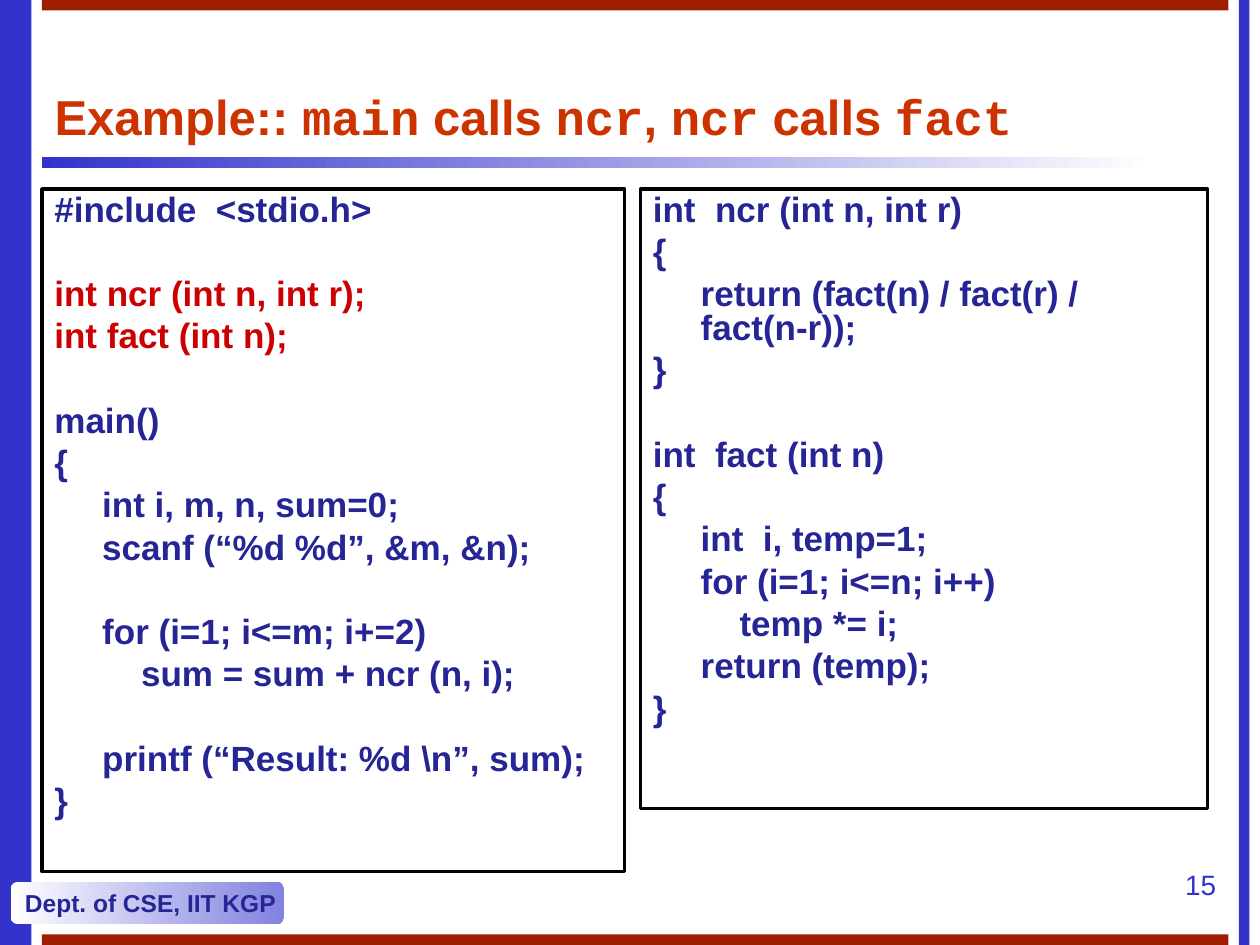
from dataclasses import dataclass

from pptx import Presentation
from pptx.dml.color import RGBColor
from pptx.enum.shapes import MSO_SHAPE as Preset
from pptx.enum.text import MSO_ANCHOR as Anchor, MSO_AUTO_SIZE as AutoSize, PP_ALIGN as Align
from pptx.util import Inches, Pt


@dataclass(frozen=True)
class Theme:
    """Colours, fonts, sizes and spacing of the deck."""
    blue: str = "3333CC"
    pale_blue: str = "8282E0"
    navy: str = "252595"
    brick: str = "A01E00"
    orange: str = "CC3300"
    red: str = "CC0000"
    black: str = "000000"
    white: str = "FFFFFF"
    sans: str = "Arial"
    mono: str = "Courier New"
    title_size: int = 28
    code_size: int = 20
    number_size: int = 16
    badge_size: int = 14
    code_leading: float = 0.8
    line_gap: int = 5
    section_gap: int = 29


THEME = Theme()
COLUMNS, ROWS = 120, 90
CELL = Inches(10) // COLUMNS

TITLE = [("Example:: ", False), ("main", True), (" calls ", False), ("ncr", True),
         (", ", False), ("ncr", True), (" calls ", False), ("fact", True)]

MAIN_CODE = [
    ["#include  <stdio.h>"],
    ["int ncr (int n, int r);", "int fact (int n);"],
    ["main()", "{", "\tint i, m, n, sum=0;", "\tscanf (“%d %d”, &m, &n);"],
    ["\tfor (i=1; i<=m; i+=2)", "\t    sum = sum + ncr (n, i);"],
    ["\tprintf (“Result: %d \\n”, sum);", "}"],
]
PROTOTYPES = MAIN_CODE[1]

FUNCTION_CODE = [
    ["int  ncr (int n, int r)", "{", "\treturn (fact(n) / fact(r) / fact(n-r));", "}"],
    ["int  fact (int n)", "{", "\tint  i, temp=1;", "\tfor (i=1; i<=n; i++)",
     "\t    temp *= i;", "\treturn (temp);", "}"],
]


def place(box):
    """Turn a grid box of column, row, width and height into lengths."""
    return [int(cells * CELL) for cells in box]


def style(paragraph, size, color, bold=True, align=Align.LEFT):
    """Set the alignment and font of a whole paragraph."""
    paragraph.alignment = align
    font = paragraph.font
    font.name, font.size, font.bold = THEME.sans, Pt(size), bold
    font.color.rgb = RGBColor.from_string(color)


def add_block(slide, box, colors, preset=Preset.RECTANGLE):
    """Add a borderless shape with one colour or a left-to-right blend of two."""
    block = slide.shapes.add_shape(preset, *place(box))
    block.shadow.inherit = False
    block.line.fill.background()
    if len(colors) == 1:
        block.fill.solid()
        block.fill.fore_color.rgb = RGBColor.from_string(colors[0])
    else:
        block.fill.gradient()
        block.fill.gradient_angle = 0
        for stop, color in zip(block.fill.gradient_stops, colors):
            stop.color.rgb = RGBColor.from_string(color)
    return block


def add_frame(slide):
    """Draw the side bands, the top and bottom bands and the title rule."""
    for column, width in ((0, 3), (COLUMNS - 2, 1)):
        add_block(slide, (column, 0, width, ROWS), [THEME.blue])
    for row in (0, ROWS - 1):
        add_block(slide, (4, row, 113, 1), [THEME.brick])
    add_block(slide, (4, 15, 106, 1), [THEME.blue, THEME.white])


def add_badge(slide, box, department):
    """Draw the department badge."""
    badge = add_block(slide, box, [THEME.white, THEME.pale_blue], Preset.ROUNDED_RECTANGLE)
    frame = badge.text_frame
    frame.word_wrap = False
    frame.vertical_anchor = Anchor.MIDDLE
    frame.text = department
    style(frame.paragraphs[0], THEME.badge_size, THEME.navy)


def add_title(slide, box, parts):
    """Fill the title, setting its code words in the monospaced font."""
    title = slide.shapes.title
    title.left, title.top, title.width, title.height = place(box)
    frame = title.text_frame
    frame.auto_size = AutoSize.NONE
    frame.vertical_anchor = Anchor.MIDDLE
    heading = frame.paragraphs[0]
    style(heading, THEME.title_size, THEME.orange)
    for words, is_code in parts:
        run = heading.add_run()
        run.text = words
        run.font.name = THEME.mono if is_code else THEME.sans


def add_code(slide, box, sections, highlighted=()):
    """Add an outlined code panel whose sections are set apart by spacing."""
    panel = slide.shapes.add_shape(Preset.RECTANGLE, *place(box))
    panel.shadow.inherit = False
    panel.fill.background()
    panel.line.color.rgb = RGBColor.from_string(THEME.black)
    panel.line.width = Pt(2)
    frame = panel.text_frame
    frame.word_wrap = True
    frame.vertical_anchor = Anchor.TOP
    for section_index, section in enumerate(sections):
        for line_index, code in enumerate(section):
            is_first = section_index == line_index == 0
            line = frame.paragraphs[0] if is_first else frame.add_paragraph()
            line.add_run().text = code
            style(line, THEME.code_size, THEME.red if code in highlighted else THEME.navy)
            line.line_spacing = THEME.code_leading
            gap = THEME.line_gap if line_index else THEME.section_gap
            line.space_before = Pt(0 if is_first else gap)
            hanging = line._p.get_or_add_pPr()
            hanging.set("marL", str(Inches(0.38)))
            hanging.set("indent", str(-Inches(0.38)))


def add_page_number(slide, box, number):
    """Write the page number."""
    frame = slide.shapes.add_textbox(*place(box)).text_frame
    frame.word_wrap = True
    frame.text = number
    style(frame.paragraphs[0], THEME.number_size, THEME.blue, False, Align.RIGHT)


def main():
    """Build and save the slide."""
    deck = Presentation()
    deck.slide_width, deck.slide_height = COLUMNS * CELL, ROWS * CELL
    slide = deck.slides.add_slide(deck.slide_layouts[5])
    add_frame(slide)
    add_badge(slide, (1, 84, 26, 4), "Dept. of CSE, IIT KGP")
    add_title(slide, (4, 6, 113, 10), TITLE)
    add_code(slide, (4, 18, 55.5, 65), MAIN_CODE, PROTOTYPES)
    add_code(slide, (61, 18, 54, 59), FUNCTION_CODE)
    add_page_number(slide, (110, 82, 7, 6), "15")
    deck.save("out.pptx")


if __name__ == "__main__":
    main()
